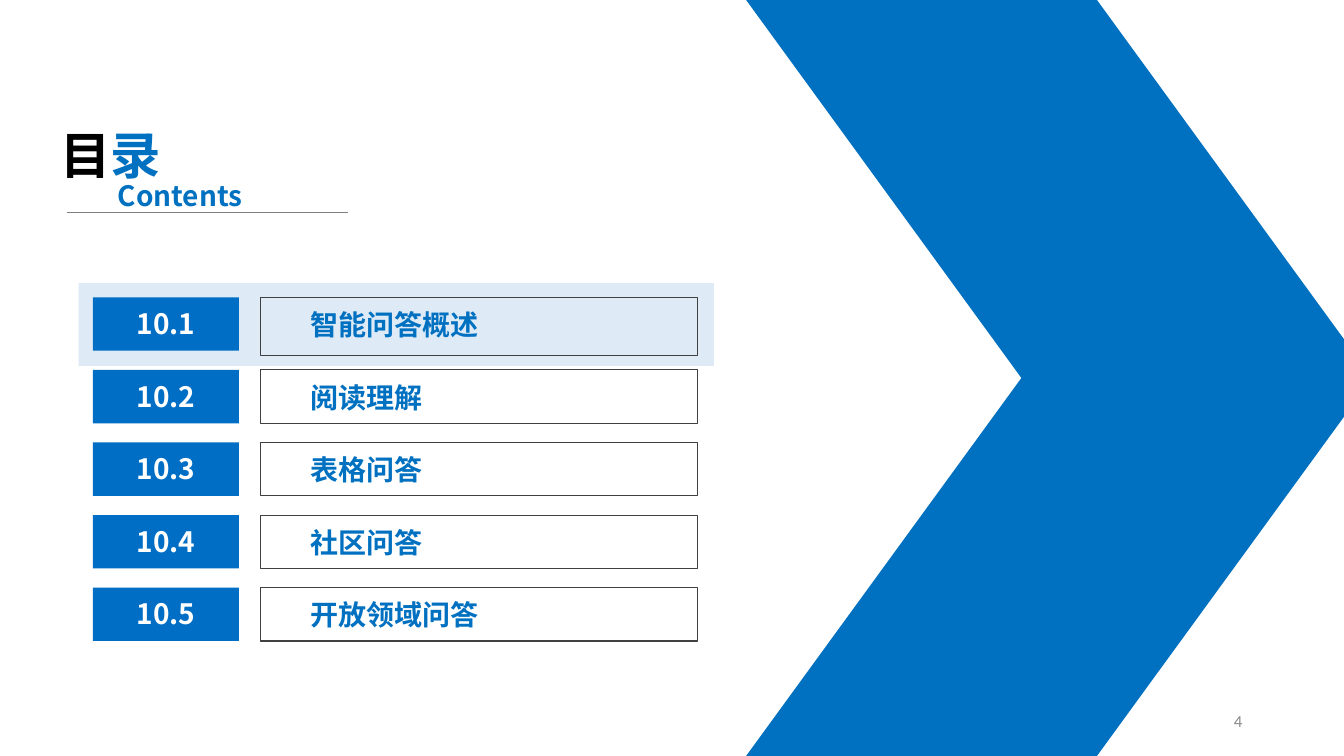
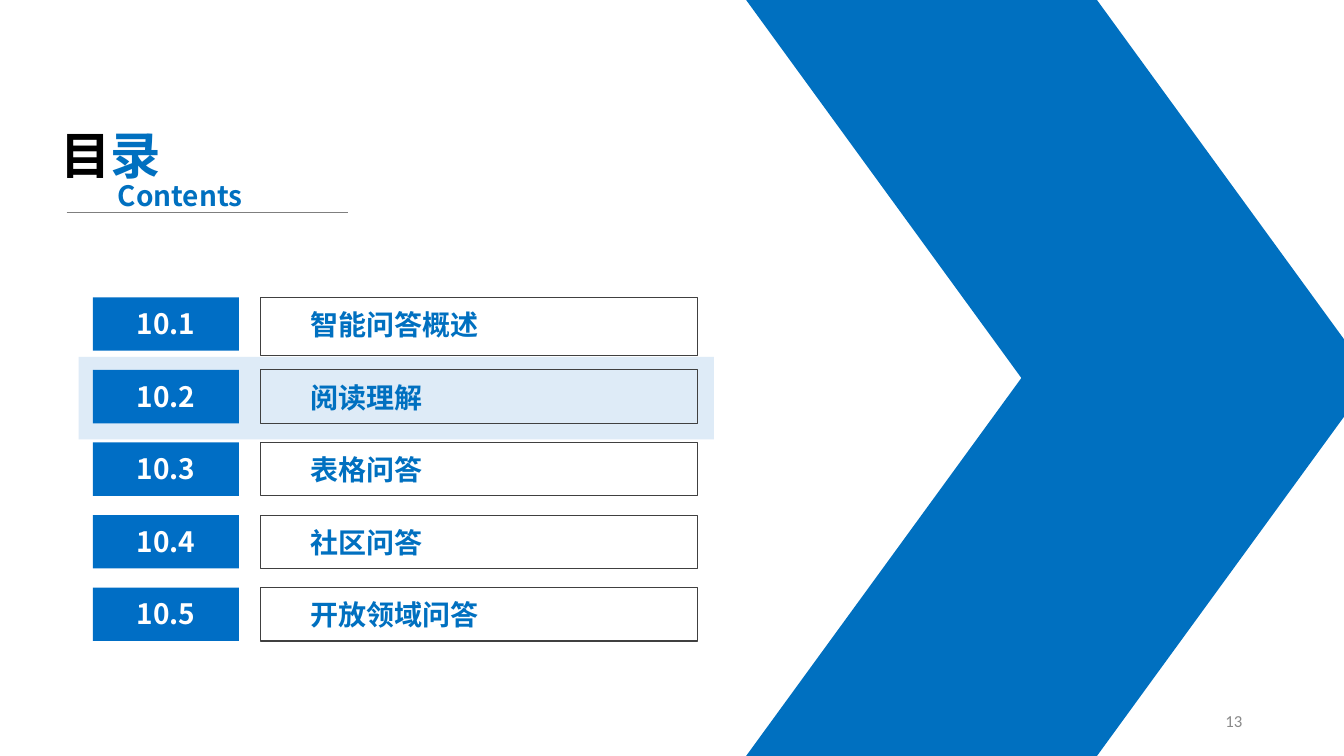
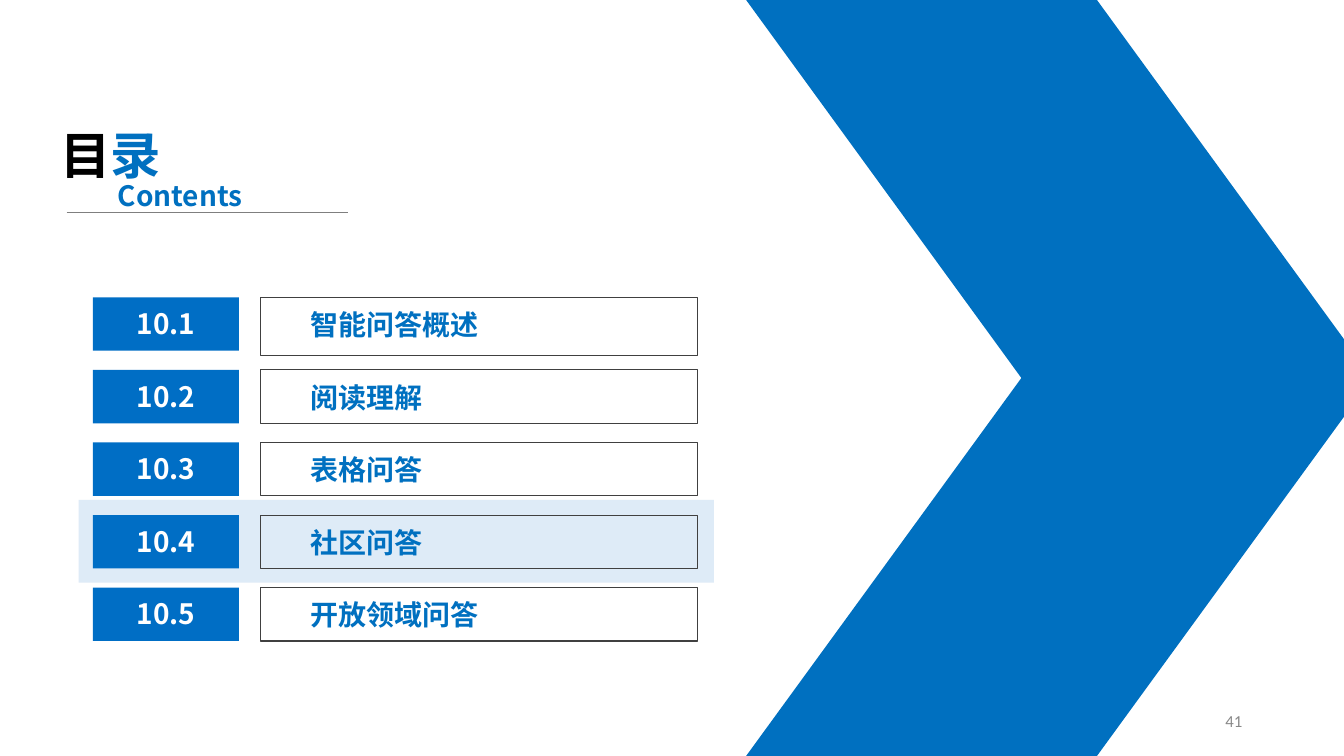
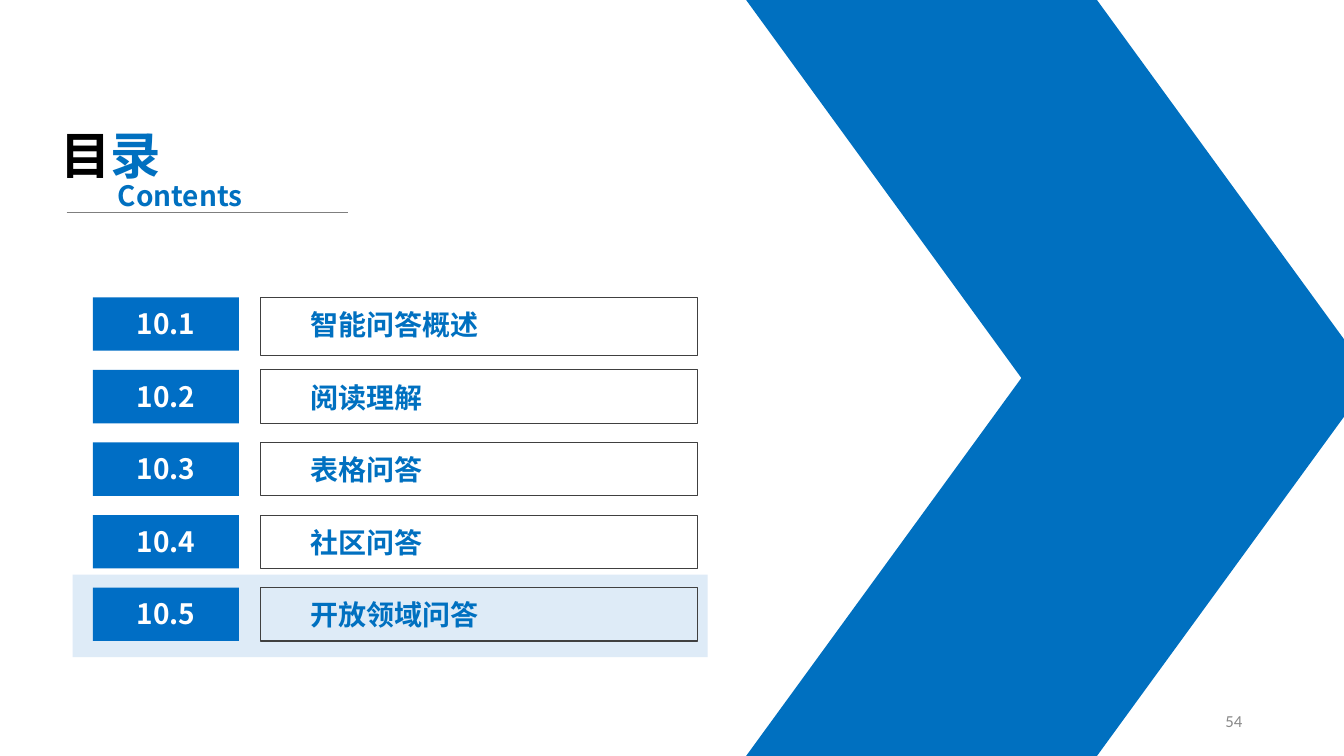
from collections import namedtuple

from lxml.etree import SubElement
from pptx import Presentation
from pptx.dml.color import RGBColor
from pptx.enum.shapes import MSO_CONNECTOR, MSO_SHAPE
from pptx.enum.text import MSO_ANCHOR, PP_ALIGN
from pptx.oxml.ns import qn
from pptx.util import Inches, Pt

Box = namedtuple("Box", "left top width height")

COLORS = {
    "blue": "0070C0",
    "badge": "006EC5",
    "highlight": "DEEBF7",
    "frame": "404040",
    "rule": "7F7F7F",
    "number": "898989",
    "black": "000000",
    "white": "FFFFFF",
}
HEADING_FONT = "Noto Sans CJK SC"
NUMBER_FONT = "Calibri"

SLIDE = Box(0, 0, 13.33, 7.5)
CHEVRON = Box(7.4, 0, 6.21, SLIDE.height)
TITLE = Box(0.5, 1.18, 2.95, 0.98)
AGENDA = Box(0.92, 2.95, 6, 3.41)
PAGE_NUMBER = Box(9.42, 6.95, 3, 0.4)

ROW_PITCH = 0.72
ROW_HEIGHT = 0.53
FIRST_FRAME_HEIGHT = 0.58
BADGE_WIDTH = 1.45
FRAME_OFFSET = 1.66
HIGHLIGHT_SIZE = (6.3, 0.82)

CHAPTER = 10
SECTIONS = ["智能问答概述", "阅读理解", "表格问答", "社区问答", "开放领域问答"]
# Page number, then the left and top of the highlighted band
PAGES = [
    (4, 0.78, 2.81),
    (13, 0.78, 3.54),
    (41, 0.78, 4.96),
    (54, 0.72, 5.7),
]


def color(name):
    return RGBColor.from_string(COLORS[name])


def inches(box):
    return [Inches(length) for length in box]


def add_block(page, box, fill=None, line=None, kind=MSO_SHAPE.RECTANGLE):
    block = page.shapes.add_shape(kind, *inches(box))
    block.shadow.inherit = False
    if fill:
        block.fill.solid()
        block.fill.fore_color.rgb = color(fill)
    else:
        block.fill.background()
    if line:
        block.line.color.rgb = color(line)
        block.line.width = Pt(0.75)
    else:
        block.line.fill.background()
    return block


def write(shape, spans, size, align=PP_ALIGN.LEFT, anchor=MSO_ANCHOR.TOP,
          font=HEADING_FONT, bold=True):
    """Fill a shape with one paragraph of (text, colour) spans."""
    frame = shape.text_frame
    frame.word_wrap = True
    frame.vertical_anchor = anchor
    para = frame.paragraphs[0]
    para.alignment = align
    para.font.size = Pt(size)
    para.font.bold = bold
    para.font.name = font
    defaults = para._p.pPr.find(qn("a:defRPr"))
    SubElement(defaults, qn("a:ea")).set("typeface", font)
    for text, span_color in spans:
        span = para.add_run()
        span.text = text
        span.font.color.rgb = color(span_color)
    return frame


def add_text(page, box, spans, size, **style):
    return write(page.shapes.add_textbox(*inches(box)), spans, size, **style)


def add_chevron(page, box):
    """Two mirrored parallelograms that meet at mid-height."""
    half = box.height / 2
    for top, flipped in ((box.top + half, False), (box.top, True)):
        arm = add_block(page, Box(box.left, top, box.width, half),
                        fill="blue", kind=MSO_SHAPE.PARALLELOGRAM)
        arm.adjustments[0] = 0.728
        if flipped:
            arm._element.spPr.xfrm.set("flipV", "1")


def add_title(page, box):
    add_text(page, Box(box.left, box.top, 1.57, 0.71),
             [("目", "black"), ("录", "blue")], 36)
    add_text(page, Box(box.left + 0.57, box.top + 0.54, 1.57, 0.44),
             [("Contents", "blue")], 20)
    rule_top = Inches(box.top + 0.93)
    rule = page.shapes.add_connector(
        MSO_CONNECTOR.STRAIGHT, Inches(box.left + 0.16), rule_top,
        Inches(box.left + box.width), rule_top)
    rule.line.color.rgb = color("rule")
    rule.line.width = Pt(0.5)
    SubElement(rule._element.spPr, qn("a:effectLst"))


def add_agenda(page, box):
    """One numbered badge and one framed heading for each section."""
    for index, section in enumerate(SECTIONS):
        top = box.top + index * ROW_PITCH
        frame_height = ROW_HEIGHT if index else FIRST_FRAME_HEIGHT
        frame = add_block(page, Box(box.left + FRAME_OFFSET, top,
                                    box.width - FRAME_OFFSET, frame_height),
                          line="frame")
        text = write(frame, [(section, "blue")], 20)
        text.margin_left, text.margin_top = Inches(0.5), Inches(0.1)
        badge = add_block(page, Box(box.left, top, BADGE_WIDTH, ROW_HEIGHT),
                          fill="badge")
        text = write(badge, [(f"{CHAPTER}.{index + 1}", "white")], 20,
                     align=PP_ALIGN.CENTER)
        text.margin_top = Inches(0.09)


def add_contents_page(deck, number, left, top):
    page = deck.slides.add_slide(deck.slide_layouts[6])
    add_block(page, Box(left, top, *HIGHLIGHT_SIZE), fill="highlight")
    add_chevron(page, CHEVRON)
    add_title(page, TITLE)
    add_agenda(page, AGENDA)
    add_text(page, PAGE_NUMBER, [(str(number), "number")], 12,
             align=PP_ALIGN.RIGHT, anchor=MSO_ANCHOR.MIDDLE,
             font=NUMBER_FONT, bold=False)


def main():
    deck = Presentation()
    deck.slide_width = Inches(SLIDE.width)
    deck.slide_height = Inches(SLIDE.height)
    for number, left, top in PAGES:
        add_contents_page(deck, number, left, top)
    deck.save("out.pptx")


if __name__ == "__main__":
    main()
